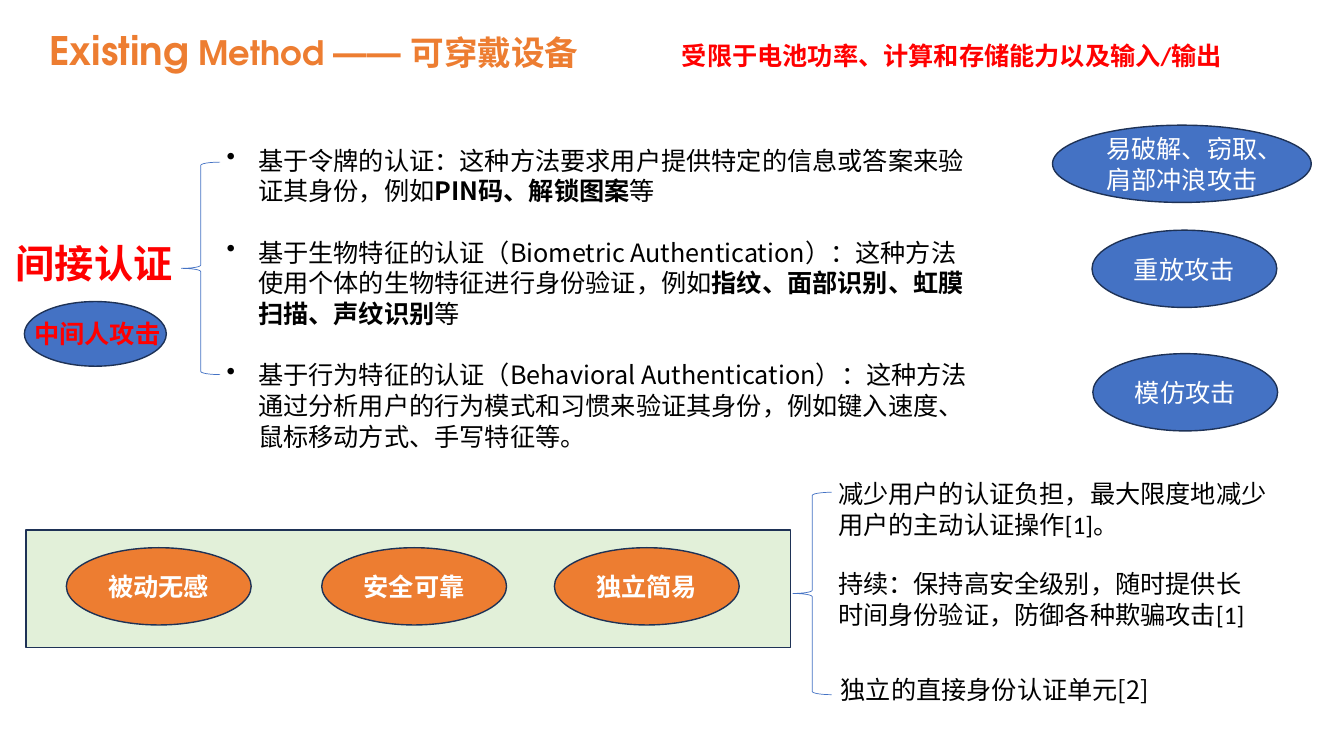
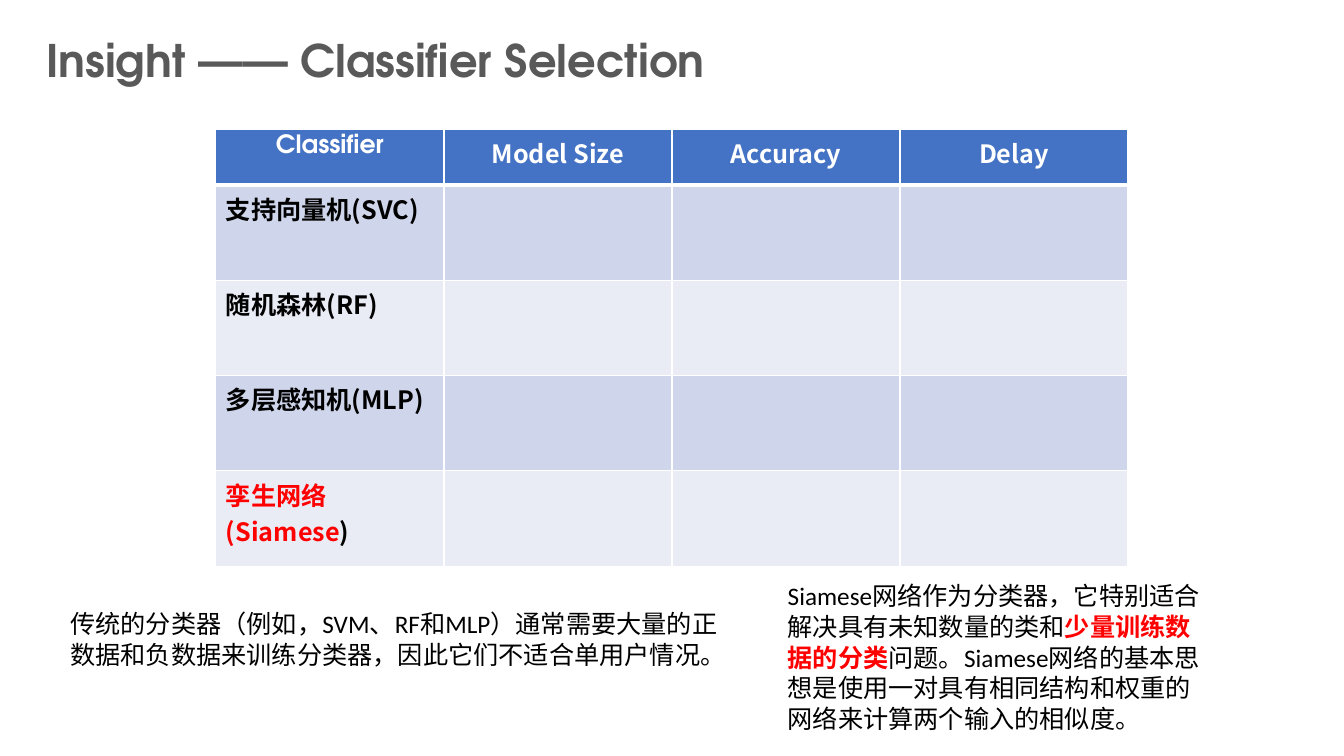
import pptx
import pptx.util
import pptx.dml.color
import pptx.enum.shapes
import pptx.enum.text
import pptx.oxml
import pptx.oxml.ns

RGB = pptx.dml.color.RGBColor
Pt = pptx.util.Pt
SHAPE = pptx.enum.shapes.MSO_SHAPE
ALIGN = pptx.enum.text.PP_ALIGN
MIDDLE = pptx.enum.text.MSO_ANCHOR.MIDDLE

BLUE = RGB(0x44, 0x72, 0xC4)
NAVY = RGB(0x1E, 0x32, 0x56)
ORANGE = RGB(0xED, 0x7D, 0x31)
GREEN = RGB(0xE2, 0xF0, 0xD9)
RED = RGB(0xFF, 0x00, 0x00)
GREY = RGB(0x59, 0x59, 0x59)
BLACK = RGB(0x00, 0x00, 0x00)
WHITE = RGB(0xFF, 0xFF, 0xFF)
BANDS = (RGB(0xCF, 0xD5, 0xEA), RGB(0xE9, 0xEB, 0xF5))

HEAD, SANS, BODY = "TeX Gyre Adventor", "Noto Sans CJK SC", "Calibri"
UNIT = pptx.util.Inches(1) / 12  # grid of 160 columns by 90 rows
LEAD = 1.215  # line pitch as a share of the text size


def grid(*cells):
    return [round(cell * UNIT) for cell in cells]


def add_xml(parent, tag, inner="", **attrs):
    pairs = "".join(f' {key}="{value}"' for key, value in attrs.items())
    space = pptx.oxml.ns.nsdecls("a")
    parent.append(pptx.oxml.parse_xml(f"<a:{tag} {space}{pairs}>{inner}</a:{tag}>"))


def write(frame, *paras, size=18, font=SANS, color=BLACK, bold=False,
          align=ALIGN.LEFT, bullet=False, fixed=True):
    """Fill a frame; a paragraph is a string or a list of (text, changes)."""
    frame.word_wrap = True
    for index, runs in enumerate(paras):
        para = frame.add_paragraph() if index else frame.paragraphs[0]
        para.alignment = align
        if fixed:
            para.line_spacing = Pt(round(size * LEAD, 1))
        if index:
            para.space_before = Pt(round(size * LEAD, 1))
        if bullet:
            props = para._p.get_or_add_pPr()
            dent = round(3.75 * UNIT)
            props.set("marL", str(dent))
            props.set("indent", str(-dent))
            add_xml(props, "buChar", char="•")
        for text, change in [(runs, {})] if isinstance(runs, str) else runs:
            look = dict(size=size, font=font, color=color, bold=bold) | change
            run = para.add_run()
            run.text = text
            run.font.size = Pt(look["size"])
            run.font.bold = look["bold"]
            run.font.color.rgb = look["color"]
            run.font.name = look["font"]
            add_xml(run._r.get_or_add_rPr(), "ea", typeface=SANS)


class Deck:
    def __init__(self):
        self.file = pptx.Presentation()
        self.file.slide_width, self.file.slide_height = grid(160, 90)

    def page(self):
        self.slide = self.file.slides.add_slide(self.file.slide_layouts[6])

    def text(self, spot, *paras, **look):
        write(self.slide.shapes.add_textbox(*grid(*spot)).text_frame, *paras, **look)

    def title(self, spot, *paras, **look):
        self.text(spot, *paras, font=HEAD, bold=True, **look)

    def shape(self, kind, spot, fill=None, line=NAVY, width=1):
        item = self.slide.shapes.add_shape(kind, *grid(*spot))
        item.shadow.inherit = False
        if fill is None:
            item.fill.background()
        else:
            item.fill.solid()
            item.fill.fore_color.rgb = fill
        item.line.color.rgb = line
        item.line.width = Pt(width)
        return item

    def oval(self, spot, text=None, fill=BLUE, **look):
        frame = self.shape(SHAPE.OVAL, spot, fill).text_frame
        if text:
            frame.vertical_anchor = MIDDLE
            write(frame, text, color=WHITE, align=ALIGN.CENTER, **look)

    def brace(self, spot):
        self.shape(SHAPE.LEFT_BRACE, spot, line=BLUE, width=0.5)

    def cell(self, cell, fill, bottom=1):
        cell.fill.solid()
        cell.fill.fore_color.rgb = fill
        props = cell._tc.get_or_add_tcPr()
        paint = props[0]
        props.remove(paint)
        ink = f'<a:solidFill><a:srgbClr val="{WHITE}"/></a:solidFill>'
        for side, width in (("lnL", 1), ("lnR", 1), ("lnT", 1), ("lnB", bottom)):
            add_xml(props, side, ink, w=Pt(width))
        props.append(paint)

    def table(self, left, top, wide, rows, heads, names):
        spot = grid(left, top, wide * len(heads), sum(rows))
        table = self.slide.shapes.add_table(len(rows), len(heads), *spot).table
        for col in table.columns:
            col.width = round(wide * UNIT)
        for row, height in zip(table.rows, rows):
            row.height = round(height * UNIT)
        for col, (text, font) in enumerate(heads):
            cell = table.cell(0, col)
            self.cell(cell, BLUE, bottom=3)
            write(cell.text_frame, text, font=font, color=WHITE, bold=True,
                  align=ALIGN.CENTER, fixed=False)
        for row, name in enumerate(names, 1):
            for col in range(len(heads)):
                self.cell(table.cell(row, col), BANDS[(row - 1) % 2])
            write(table.cell(row, 0).text_frame, name, bold=True, fixed=False)


def methods(deck):
    deck.page()
    strong = dict(bold=True)

    # Panel and headings
    deck.oval((2.9, 35.9, 16.9, 7.7))
    deck.shape(SHAPE.RECTANGLE, (3.1, 63.1, 91, 14), GREEN)
    deck.title((4.7, 2.5, 80, 6.8),
               [("Existing", {}), (" Method —— 可穿戴设备", dict(size=24))],
               size=28, color=ORANGE)
    deck.text((80, 4.2, 80.5, 4.8), "受限于电池功率、计算和存储能力以及输入/输出",
              font=BODY, color=RED, bold=True)

    # Kinds of login
    deck.text((25.8, 16.6, 91, 37.6),
              [("基于令牌的认证：这种方法要求用户提供特定的信息或答案来验证其身份，例如", {}),
               ("PIN码、解锁图案", strong), ("等", {})],
              [("基于生物特征的认证（Biometric Authentication）："
                "这种方法使用个体的生物特征进行身份验证，例如", {}),
               ("指纹、面部识别、虹膜扫描、声纹识别", strong), ("等", {})],
              "基于行为特征的认证（Behavioral Authentication）："
              "这种方法通过分析用户的行为模式和习惯来验证其身份，"
              "例如键入速度、鼠标移动方式、手写特征等。",
              bullet=True)
    deck.brace((21.6, 19.3, 4.6, 25.3))
    deck.text((0.7, 27.8, 37.6, 6.8), "间接认证", size=28, color=RED, bold=True)
    deck.text((2.9, 37.3, 18.7, 4.8), "中间人攻击", color=RED, bold=True)

    # Attacks
    for left, top, width, text in ((125.3, 14.9, 30.8, "易破解、窃取、肩部冲浪攻击"),
                                   (130, 27.4, 22, "重放攻击"),
                                   (130.1, 42.1, 22, "模仿攻击")):
        deck.oval((left, top, width, 9.2), text)

    # Goals
    for left, text in ((7.9, "被动无感"), (38.3, "安全可靠"), (66, "独立简易")):
        deck.oval((left, 65.2, 22, 9.2), text, ORANGE, bold=True)
    deck.brace((94.4, 58.6, 4.6, 24.1))
    deck.text((98.6, 56.3, 55.3, 8.5),
              "减少用户的认证负担，最大限度地减少用户的主动认证操作[1]。", font=BODY)
    deck.text((98.6, 67, 52.8, 8.5),
              "持续：保持高安全级别，随时提供长时间身份验证，防御各种欺骗攻击[1]", font=BODY)
    deck.text((98.9, 79.6, 51.1, 4.8), "独立的直接身份认证单元[2]")


def choice(deck):
    deck.page()
    deck.title((4.3, 3.2, 104.8, 7.7), "Insight —— Classifier Selection",
               size=32, color=GREY)

    # Models compared
    deck.table(25.7, 15.4, 27.15, [6.6] + [11.35] * 4,
               [("Classifier", HEAD), ("Model Size", SANS),
                ("Accuracy", SANS), ("Delay", SANS)],
               ["支持向量机(SVC)", "随机森林(RF)", "多层感知机(MLP)",
                [("孪生网络(Siamese", dict(color=RED)), (")", {})]])

    # Reasons
    deck.text((7.2, 71.8, 79.9, 8.5),
              "传统的分类器（例如，SVM、RF和MLP）通常需要大量的正数据和负数据"
              "来训练分类器，因此它们不适合单用户情况。", font=BODY)
    deck.text((92.6, 68.5, 51.7, 19.4),
              [("Siamese网络作为分类器，它特别适合解决具有未知数量的类和", {}),
               ("少量训练数据的分类", dict(color=RED, bold=True)),
               ("问题。Siamese网络的基本思想是使用一对具有相同结构和权重的网络"
                "来计算两个输入的相似度。", {})], font=BODY)


def main():
    deck = Deck()
    methods(deck)
    choice(deck)
    deck.file.save("out.pptx")


if __name__ == "__main__":
    main()
